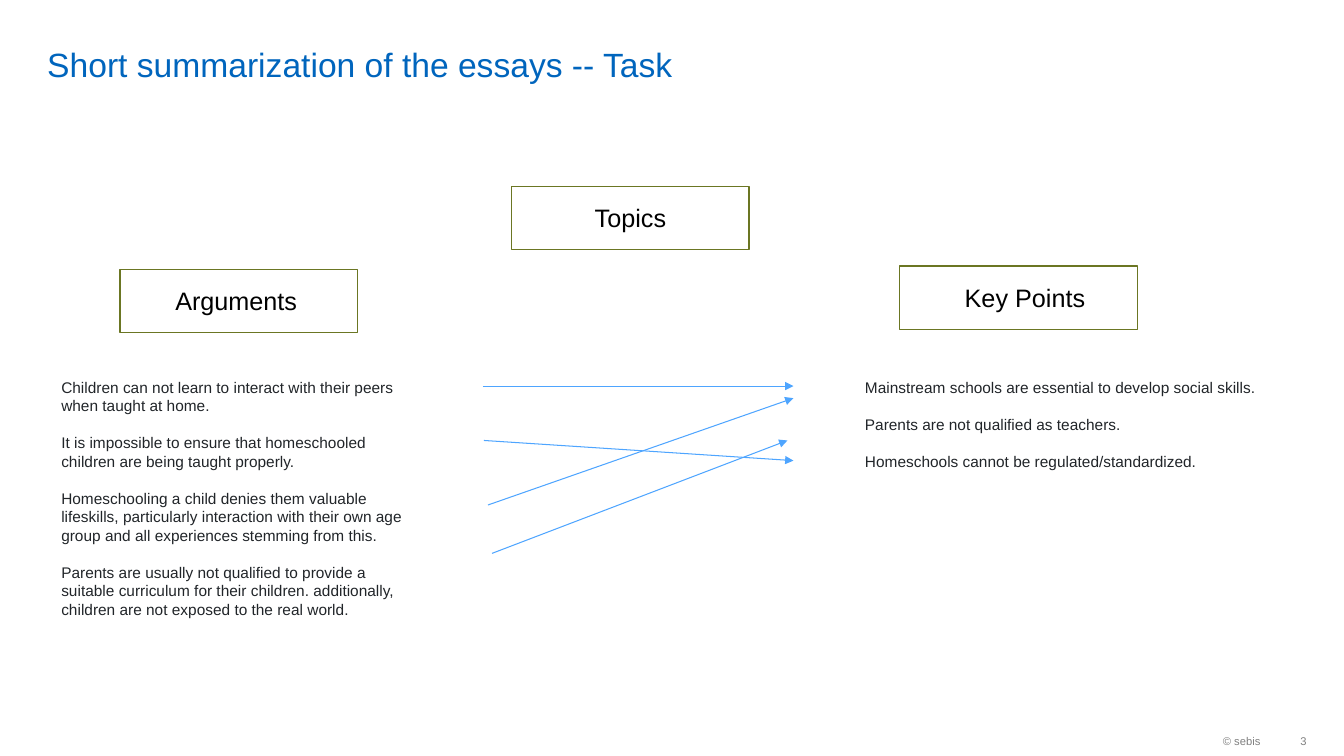
from dataclasses import dataclass

from lxml.etree import SubElement
from pptx import Presentation
from pptx.dml.color import RGBColor
from pptx.enum.shapes import MSO_CONNECTOR as Connector, MSO_SHAPE as Preset
from pptx.enum.text import MSO_ANCHOR as Anchor, PP_ALIGN as Align
from pptx.oxml.ns import qn
from pptx.slide import Slide
from pptx.util import Inches, Pt


@dataclass(frozen=True)
class Theme:
    """Fonts, colours and type sizes of the slide."""
    font: str = "Arial"
    title: RGBColor = RGBColor(0x00, 0x65, 0xBD)
    footer: RGBColor = RGBColor(0x80, 0x80, 0x80)
    label: RGBColor = RGBColor(0x00, 0x00, 0x00)
    body: RGBColor = RGBColor(0x21, 0x25, 0x29)
    frame: RGBColor = RGBColor(0x6B, 0x76, 0x23)
    arrow: RGBColor = RGBColor(0x4E, 0xA5, 0xFF)
    title_size: float = 24
    label_size: float = 18
    body_size: float = 11
    footer_size: float = 8
    body_pitch: float = 13.2
    frame_width: float = 0.85
    arrow_width: float = 0.75


@dataclass(frozen=True)
class TextBlock:
    """A text box with one paragraph per entry."""
    left: float
    top: float
    width: float
    height: float
    paragraphs: tuple[str, ...]
    size: float
    color: RGBColor
    anchor: Anchor = Anchor.TOP
    align: Align = Align.LEFT
    inset_right: float = 0.1
    inset_vertical: float = 0.05
    pitch: float | None = None


@dataclass(frozen=True)
class Heading:
    """A framed heading and the place of its label."""
    label: str
    left: float
    top: float
    label_left: float
    label_width: float


@dataclass(frozen=True)
class Match:
    """An arrow from an argument to its key point."""
    start: tuple[float, float]
    end: tuple[float, float]


THEME = Theme()
FRAME_SIZE = (2.36, 0.63)
LABEL_OFFSET = 0.11
LABEL_HEIGHT = 0.4
BODY_TOP = 3.7
FOOTER_TOP, FOOTER_HEIGHT = 7.19, 0.32

ARGUMENTS = (
    "Children can not learn to interact with their peers when taught at home.",
    "It is impossible to ensure that homeschooled children are being taught properly.",
    "Homeschooling a child denies them valuable lifeskills, particularly interaction "
    "with their own age group and all experiences stemming from this.",
    "Parents are usually not qualified to provide a suitable curriculum for their "
    "children. additionally, children are not exposed to the real world.",
)
KEY_POINTS = (
    "Mainstream schools are essential to develop social skills.",
    "Parents are not qualified as teachers.",
    "Homeschools cannot be regulated/standardized.",
)

TEXT_BLOCKS = (
    TextBlock(0.37, 0.05, 11.58, 0.79, ("Short summarization of the essays -- Task",),
              THEME.title_size, THEME.title, Anchor.BOTTOM, inset_vertical=0),
    TextBlock(10.26, FOOTER_TOP, 2.34, FOOTER_HEIGHT, ("© sebis",),
              THEME.footer_size, THEME.footer, Anchor.MIDDLE, Align.RIGHT),
    TextBlock(12.6, FOOTER_TOP, 0.36, FOOTER_HEIGHT, ("3",),
              THEME.footer_size, THEME.footer, Anchor.MIDDLE, Align.RIGHT, inset_right=0),
    TextBlock(0.51, BODY_TOP, 3.76, 2.51, ARGUMENTS,
              THEME.body_size, THEME.body, pitch=THEME.body_pitch),
    TextBlock(8.48, BODY_TOP, 4.18, 1.4, KEY_POINTS,
              THEME.body_size, THEME.body, pitch=THEME.body_pitch),
)
HEADINGS = (
    Heading("Arguments", 1.19, 2.67, 1.64, 1.56),
    Heading("Topics", 5.07, 1.85, 5.8, 1.01),
    Heading("Key Points", 8.92, 2.64, 9.47, 1.53),
)
MATCHES = (
    Match((4.79, 3.83), (7.87, 3.83)),
    Match((4.8, 4.37), (7.87, 4.57)),
    Match((4.84, 5.01), (7.87, 3.95)),
    Match((4.88, 5.49), (7.81, 4.37)),
)


def add_text(slide: Slide, block: TextBlock) -> None:
    """Add a text box with evenly formatted paragraphs."""
    shape = slide.shapes.add_textbox(
        Inches(block.left), Inches(block.top), Inches(block.width), Inches(block.height))
    frame = shape.text_frame
    frame.word_wrap = True
    frame.vertical_anchor = block.anchor
    frame.margin_left = Inches(0.1)
    frame.margin_right = Inches(block.inset_right)
    frame.margin_top = frame.margin_bottom = Inches(block.inset_vertical)
    for index, text in enumerate(block.paragraphs):
        paragraph = frame.add_paragraph() if index else frame.paragraphs[0]
        paragraph.text = text
        paragraph.alignment = block.align
        if block.pitch:
            paragraph.line_spacing = Pt(block.pitch)
            if index:
                paragraph.space_before = Pt(block.pitch)
        paragraph.font.name = THEME.font
        paragraph.font.size = Pt(block.size)
        paragraph.font.color.rgb = block.color


def add_heading(slide: Slide, heading: Heading) -> None:
    """Add an outlined frame with its label."""
    width, height = FRAME_SIZE
    shape = slide.shapes.add_shape(
        Preset.RECTANGLE, Inches(heading.left), Inches(heading.top),
        Inches(width), Inches(height))
    shape.shadow.inherit = False
    shape.fill.background()
    shape.line.color.rgb = THEME.frame
    shape.line.width = Pt(THEME.frame_width)
    add_text(slide, TextBlock(
        heading.label_left, heading.top + LABEL_OFFSET, heading.label_width, LABEL_HEIGHT,
        (heading.label,), THEME.label_size, THEME.label))


def add_match(slide: Slide, match: Match) -> None:
    """Add a straight arrow between two points."""
    arrow = slide.shapes.add_connector(
        Connector.STRAIGHT, *(Inches(value) for value in match.start + match.end))
    arrow.line.color.rgb = THEME.arrow
    arrow.line.width = Pt(THEME.arrow_width)
    SubElement(arrow.line._get_or_add_ln(), qn("a:tailEnd"), type="triangle")
    SubElement(arrow._element.spPr, qn("a:effectLst"))


def main() -> None:
    """Build the slide and save it."""
    presentation = Presentation()
    presentation.slide_width = Inches(13.33)
    presentation.slide_height = Inches(7.5)
    slide = presentation.slides.add_slide(presentation.slide_layouts[6])
    for block in TEXT_BLOCKS:
        add_text(slide, block)
    for heading in HEADINGS:
        add_heading(slide, heading)
    for match in MATCHES:
        add_match(slide, match)
    presentation.save("out.pptx")


if __name__ == "__main__":
    main()
